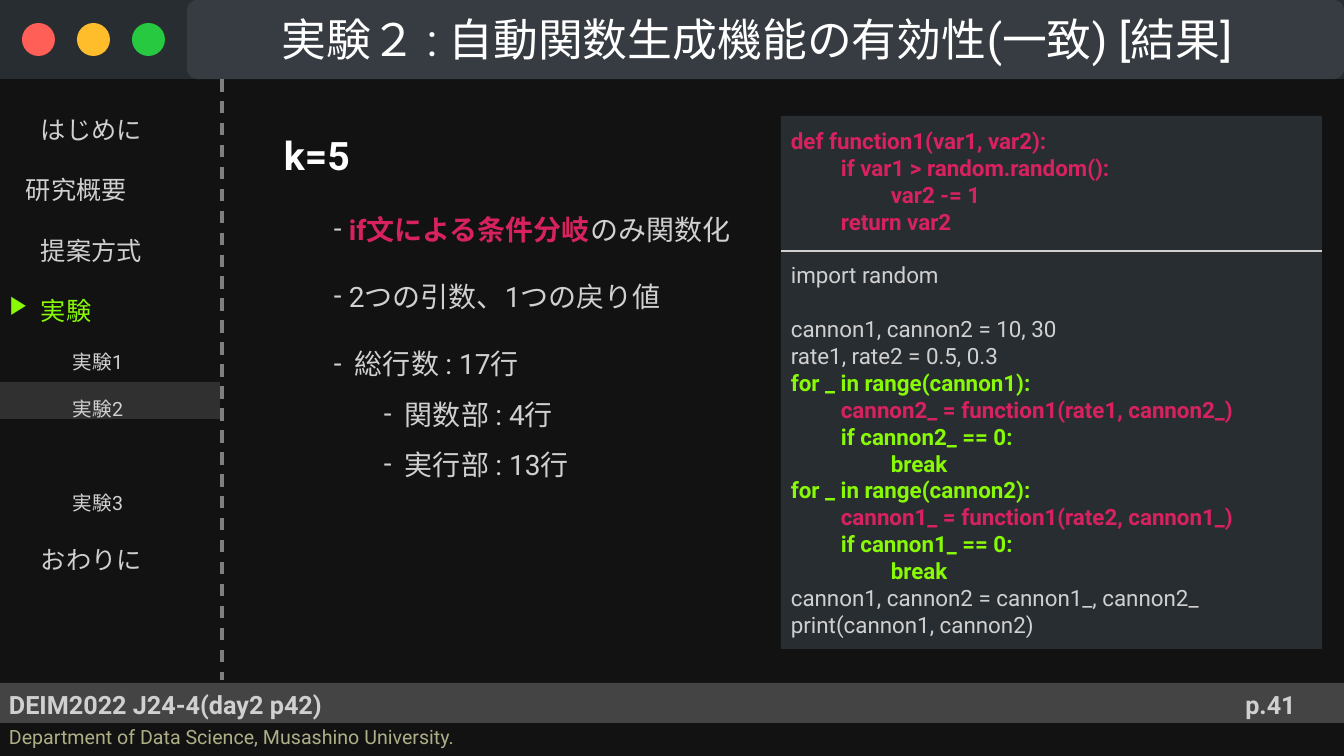
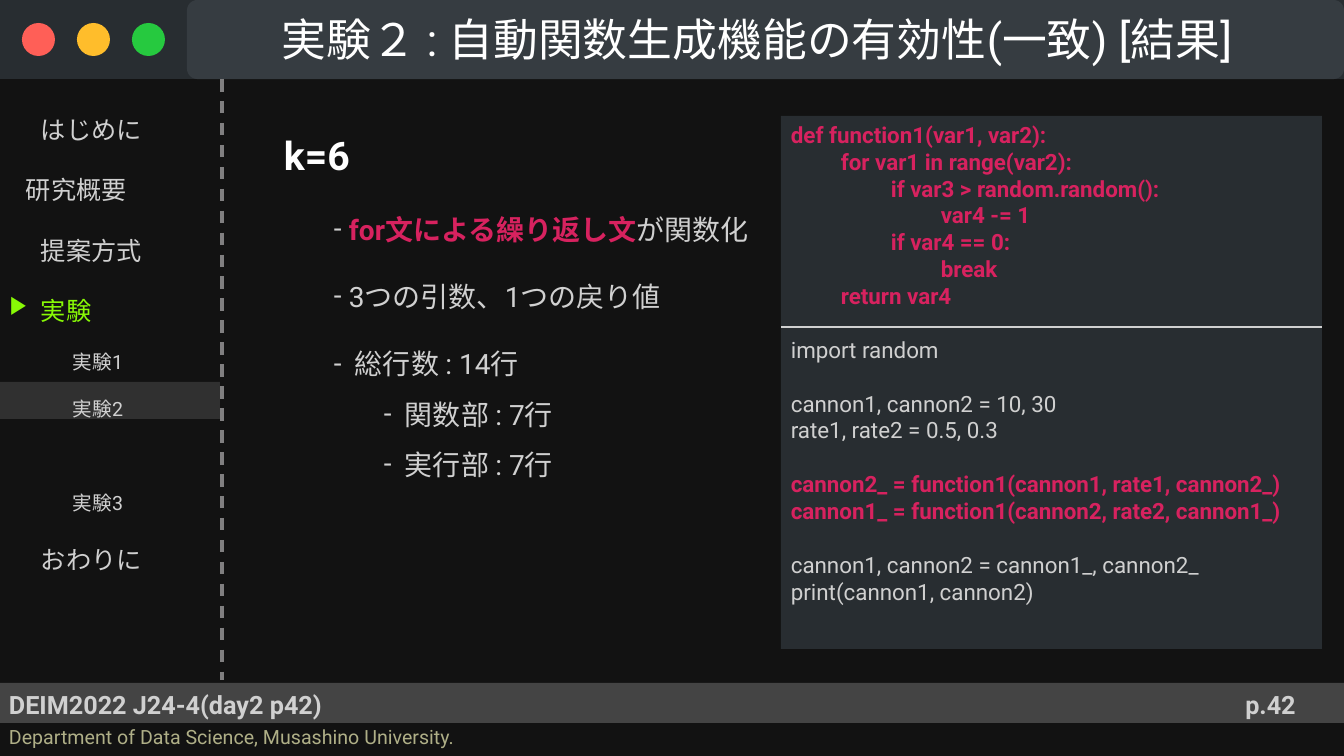
import lxml.etree
import pptx
import pptx.dml.color
import pptx.enum.dml
import pptx.enum.shapes
import pptx.enum.text
import pptx.oxml.ns
import pptx.util
from dataclasses import dataclass

SHAPE = pptx.enum.shapes.MSO_SHAPE
ANCHOR = pptx.enum.text.MSO_ANCHOR
ALIGN = pptx.enum.text.PP_ALIGN
DASH = pptx.enum.dml.MSO_LINE
RGB = pptx.dml.color.RGBColor.from_string
qn = pptx.oxml.ns.qn

W, H = 1344, 756
EMU_PER_PX = 12192000 / W


@dataclass(frozen=True)
class Theme:
    font: str = "Roboto"
    back: str = "121212"
    panel: str = "282D31"
    tab: str = "363C41"
    band: str = "444444"
    current: str = "303030"
    dash: str = "807F80"
    text: str = "D0D0D0"
    white: str = "FFFFFF"
    pink: str = "D7225F"
    green: str = "88F906"
    olive: str = "AFAF87"
    lights: tuple = ("FF5F57", "FFBD2B", "26C93F")
    title_pt: int = 32
    head_pt: int = 28
    list_pt: int = 20
    label_pt: int = 18
    code_pt: int = 16
    small_pt: int = 14


T = Theme()
STEP = 50  # indent per level
CODE_GAP = 19.2
NAV_GAP = 33.6


def add_box(s, kind, rect, fill=None):
    """Add a flat preset shape, or a text box when kind is None."""
    pos = [round(v * EMU_PER_PX) for v in rect]
    if kind is None:
        sp = s.shapes.add_textbox(*pos)
    else:
        sp = s.shapes.add_shape(kind, *pos)
        sp.shadow.inherit = False
        sp.fill.solid()
        sp.fill.fore_color.rgb = RGB(fill)
        sp.line.fill.background()
    sp.text_frame.word_wrap = True
    return sp


def add_line(tf, runs, size, left=0, spacing=None, before=0, hang=0, align=ALIGN.LEFT):
    """Add a paragraph of (text, colour, bold) runs; hang > 0 gives it a dash bullet."""
    p = tf.paragraphs[-1] if not tf.paragraphs[-1].runs else tf.add_paragraph()
    p.alignment = align
    p.line_spacing = spacing
    p.space_before = pptx.util.Pt(before)
    pPr = p._p.get_or_add_pPr()
    pPr.set("marL", str(round((left + hang) * EMU_PER_PX)))
    pPr.set("indent", str(round(-hang * EMU_PER_PX)))
    if hang:
        clr = lxml.etree.SubElement(pPr, qn("a:buClr"))
        lxml.etree.SubElement(clr, qn("a:srgbClr"), val=T.text)
        lxml.etree.SubElement(pPr, qn("a:buFont"), typeface=T.font)
        lxml.etree.SubElement(pPr, qn("a:buChar"), char="-")
    for text, color, bold in runs:
        r = p.add_run()
        r.text = text
        r.font.name = T.font
        r.font.size = pptx.util.Pt(size)
        r.font.bold = bold
        r.font.color.rgb = RGB(color)


# text, left, size, colour, space before
NAV = [
    ("はじめに", 31, T.label_pt, T.text, 0),
    ("研究概要", 16, T.label_pt, T.text, 0),
    ("提案方式", 31, T.label_pt, T.text, 0),
    ("実験", 31, T.label_pt, T.green, 0),
    ("実験1", 63, T.small_pt, T.text, 0),
    ("実験2", 63, T.small_pt, T.text, 0),
    ("実験3", 63, T.small_pt, T.text, NAV_GAP),
    ("おわりに", 31, T.label_pt, T.text, 0),
]

SETUP = [
    (T.text, 0, "cannon1, cannon2 = 10, 30"),
    (T.text, 0, "rate1, rate2 = 0.5, 0.3"),
]
RESULT = [
    (T.text, 0, "cannon1, cannon2 = cannon1_, cannon2_"),
    (T.text, 0, "print(cannon1, cannon2)"),
]
IMPORT = [(T.text, 0, "import random")]

# code: blocks parted by a gap, each a list of (colour, level, text)
SLIDES = [
    dict(
        page="p.41", k="k=5", key="if文による条件分岐", rest="のみ関数化",
        args="2つの引数、1つの戻り値",
        counts=("総行数 : 17行", "関数部 : 4行", "実行部 : 13行"),
        divider=251, anchor=ANCHOR.MIDDLE,
        code=[
            [
                (T.pink, 0, "def function1(var1, var2):"),
                (T.pink, 1, "if var1 > random.random():"),
                (T.pink, 2, "var2 -= 1"),
                (T.pink, 1, "return var2"),
            ],
            IMPORT,
            SETUP + [
                (T.green, 0, "for _ in range(cannon1):"),
                (T.pink, 1, "cannon2_ = function1(rate1, cannon2_)"),
                (T.green, 1, "if cannon2_ == 0:"),
                (T.green, 2, "break"),
                (T.green, 0, "for _ in range(cannon2):"),
                (T.pink, 1, "cannon1_ = function1(rate2, cannon1_)"),
                (T.green, 1, "if cannon1_ == 0:"),
                (T.green, 2, "break"),
            ] + RESULT,
        ],
    ),
    dict(
        page="p.42", k="k=6", key="for文による繰り返し文", rest="が関数化",
        args="3つの引数、1つの戻り値",
        counts=("総行数 : 14行", "関数部 : 7行", "実行部 : 7行"),
        divider=327, anchor=ANCHOR.TOP,
        code=[
            [
                (T.pink, 0, "def function1(var1, var2):"),
                (T.pink, 1, "for var1 in range(var2):"),
                (T.pink, 2, "if var3 > random.random():"),
                (T.pink, 3, "var4 -= 1"),
                (T.pink, 2, "if var4 == 0:"),
                (T.pink, 3, "break"),
                (T.pink, 1, "return var4"),
            ],
            IMPORT,
            SETUP,
            [
                (T.pink, 0, "cannon2_ = function1(cannon1, rate1, cannon2_)"),
                (T.pink, 0, "cannon1_ = function1(cannon2, rate2, cannon1_)"),
            ],
            RESULT,
        ],
    ),
]

prs = pptx.Presentation()
prs.slide_width = round(W * EMU_PER_PX)
prs.slide_height = round(H * EMU_PER_PX)
back = prs.slide_master.background.fill
back.solid()
back.fore_color.rgb = RGB(T.back)

for d in SLIDES:
    s = prs.slides.add_slide(prs.slide_layouts[6])

    # Window frame
    add_box(s, SHAPE.RECTANGLE, (0, 683, W, 40), T.band)
    add_box(s, SHAPE.RECTANGLE, (0, 0, W, 79), T.panel)
    for i, light in enumerate(T.lights):
        add_box(s, SHAPE.OVAL, (22 + 55 * i, 23, 33, 33), light)
    tab = add_box(s, SHAPE.ROUNDED_RECTANGLE, (187, 0, W - 187, 79), T.tab)
    tab.adjustments[0] = 0.13
    add_box(s, SHAPE.RECTANGLE, (0, 382, 220, 37), T.current)

    # Single-line labels: title, footers, page number, section marker
    for rect, text, size, color, bold, left, align, anchor in [
        ((222, 6, 1122, 65), "実験２ : 自動関数生成機能の有効性(一致) [結果]",
         T.title_pt, T.white, False, STEP, ALIGN.LEFT, ANCHOR.MIDDLE),
        ((-1, 684, 673, 40), "DEIM2022 J24-4(day2 p42)",
         T.label_pt, T.text, True, 0, ALIGN.LEFT, ANCHOR.TOP),
        ((-1, 720, 673, 34), "Department of Data Science, Musashino University.",
         T.small_pt, T.olive, False, 0, ALIGN.LEFT, ANCHOR.TOP),
        ((1197, 684, 147, 40), d["page"],
         T.label_pt, T.text, True, 0, ALIGN.CENTER, ANCHOR.MIDDLE),
        ((0, 283, 46, 40), "▶︎",
         T.label_pt, T.green, False, 0, ALIGN.LEFT, ANCHOR.TOP),
    ]:
        tf = add_box(s, None, rect).text_frame
        tf.vertical_anchor = anchor
        add_line(tf, [(text, color, bold)], size, left, align=align)

    # Sidebar
    tf = add_box(s, None, (0, 79, 222, 602)).text_frame
    for text, left, size, color, before in NAV:
        add_line(tf, [(text, color, False)], size, left, 2.0, before)

    # Findings
    tf = add_box(s, None, (222, 96, 556, 238)).text_frame
    tf.margin_left = tf.margin_right = tf.margin_top = round(12 * EMU_PER_PX)
    add_line(tf, [(d["k"], T.white, True)], T.head_pt, STEP, 1.5)
    key_runs = [(d["key"], T.pink, True), (d["rest"], T.text, False)]
    total, *parts = [[(text, T.text, False)] for text in d["counts"]]
    for runs, level, spacing, hang in [
        (key_runs, 2, 2.0, 15),
        ([(d["args"], T.text, False)], 2, 2.0, 15),
        (total, 2, 2.0, 21),
        *[(part, 3, 1.5, 21) for part in parts],
    ]:
        add_line(tf, runs, T.list_pt, level * STEP, spacing, hang=hang)

    # Code panel
    tf = add_box(s, SHAPE.RECTANGLE, (781, 116, 541, 533), T.panel).text_frame
    tf.vertical_anchor = d["anchor"]
    for b, block in enumerate(d["code"]):
        for i, (color, level, text) in enumerate(block):
            before = CODE_GAP if b and i == 0 else 0
            add_line(tf, [(text, color, color != T.text)], T.code_pt,
                     level * STEP, before=before)

    # Sidebar edge and code divider
    for x1, y1, x2, y2, color, width, dash in [
        (222, 79, 222, 680, T.dash, 2.25, DASH.DASH),
        (781, d["divider"], 1322, d["divider"], T.text, 1.5, DASH.SOLID),
    ]:
        ends = [round(v * EMU_PER_PX) for v in (x1, y1, x2, y2)]
        c = s.shapes.add_connector(pptx.enum.shapes.MSO_CONNECTOR.STRAIGHT, *ends)
        c.line.color.rgb = RGB(color)
        c.line.width = pptx.util.Pt(width)
        c.line.dash_style = dash
        lxml.etree.SubElement(c._element.spPr, qn("a:effectLst"))

prs.save("out.pptx")
